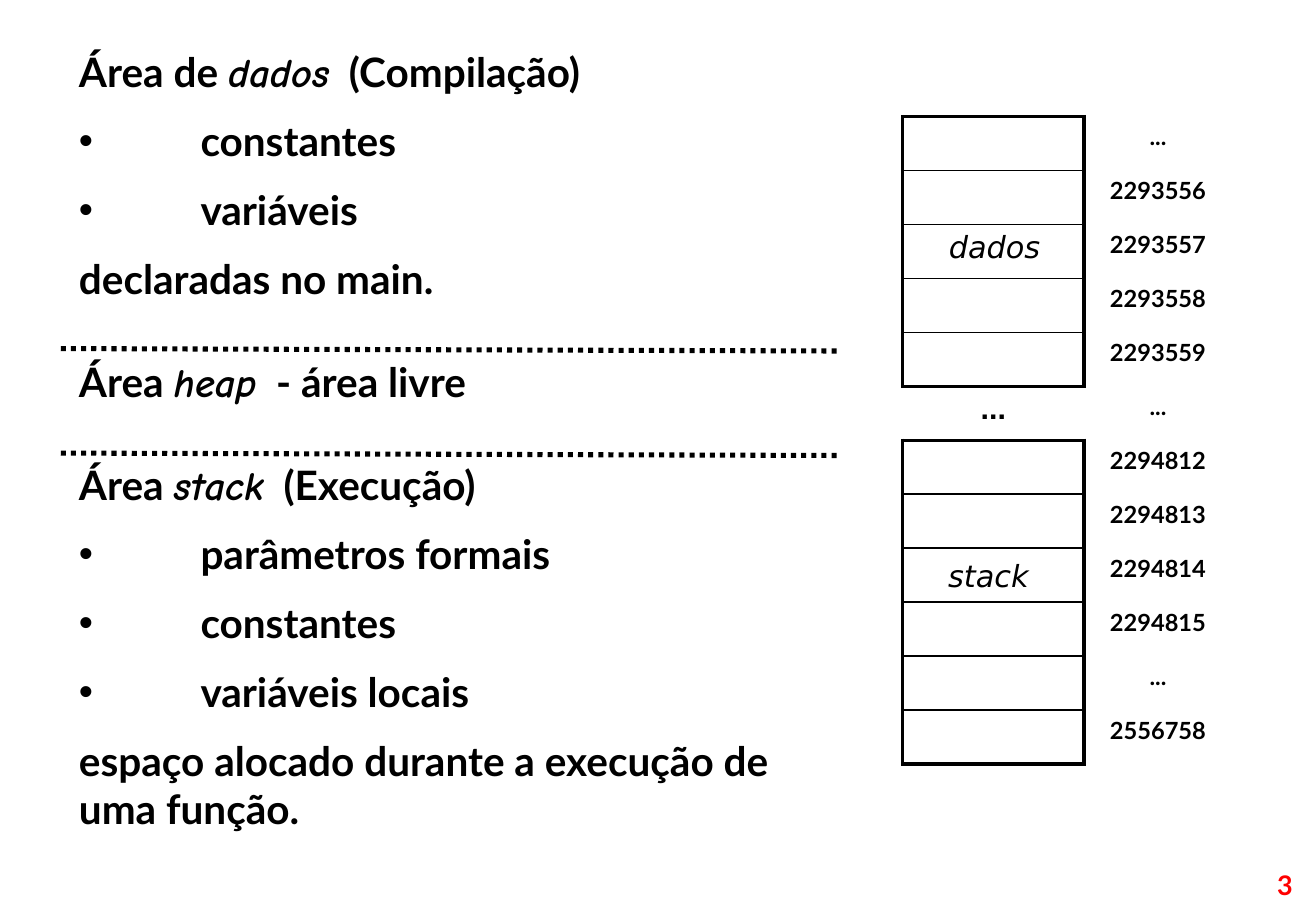
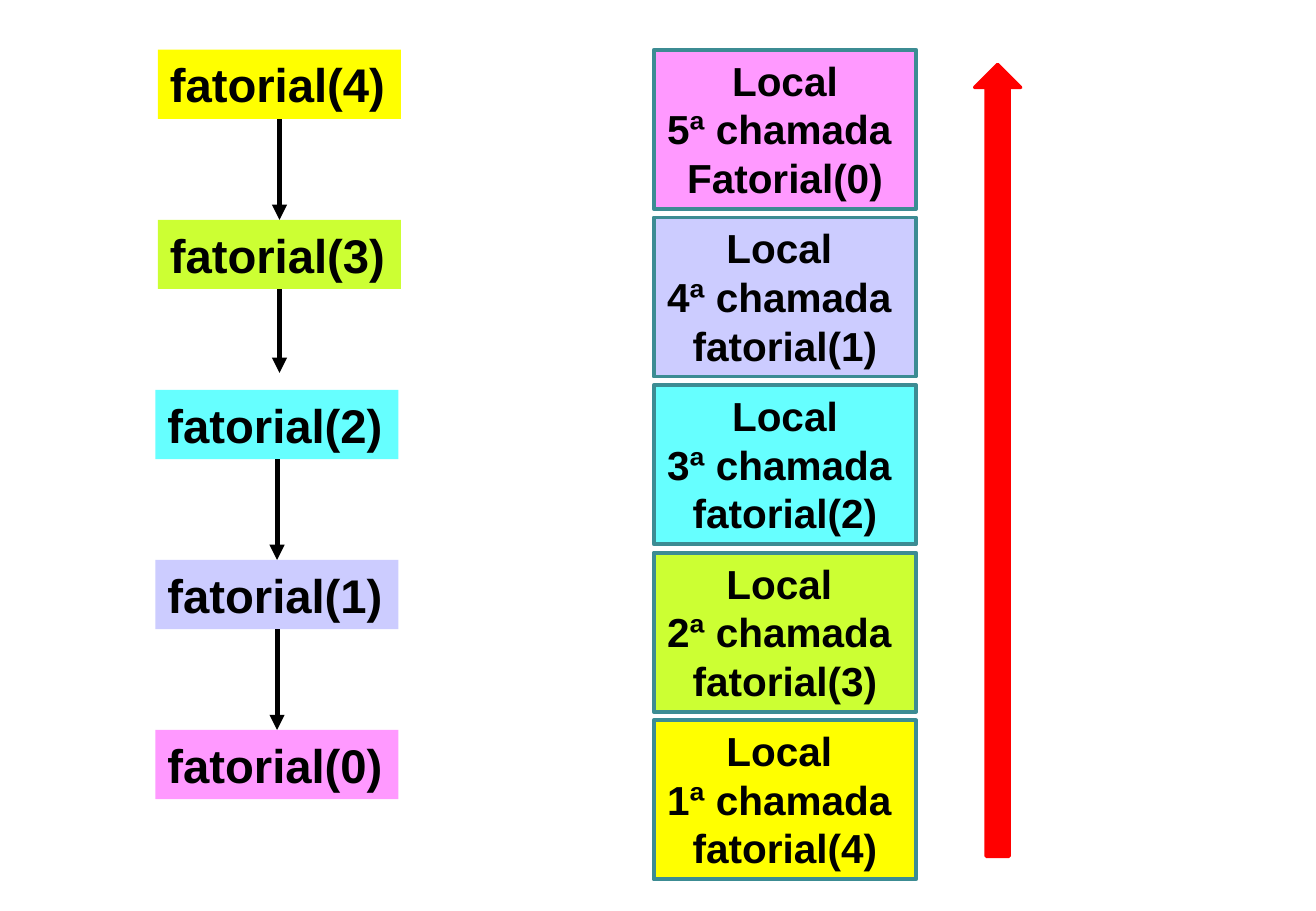
from pptx import Presentation
from pptx.dml.color import RGBColor
from pptx.enum.dml import MSO_LINE
from pptx.enum.shapes import MSO_CONNECTOR, MSO_SHAPE
from pptx.enum.text import MSO_ANCHOR, MSO_AUTO_SIZE, PP_ALIGN
from pptx.oxml.ns import qn
from pptx.util import Inches, Pt
from lxml.etree import SubElement

BLACK = RGBColor(0, 0, 0)
RED = RGBColor(0xFF, 0, 0)
TEAL = RGBColor(0x3C, 0x8C, 0x93)
# Colour of each call, by its argument
CALL_COLOURS = {
    4: RGBColor(0xFF, 0xFF, 0x00),
    3: RGBColor(0xCC, 0xFF, 0x33),
    2: RGBColor(0x66, 0xFF, 0xFF),
    1: RGBColor(0xCC, 0xCC, 0xFF),
    0: RGBColor(0xFF, 0x99, 0xFF),
}
SANS, TEXT, HAND, LABEL = "Arial", "Lato", "Comic Neue", "DejaVu Sans"
NO_TABLE_STYLE = "{2D5ABB26-0587-4C30-8999-92F81FD0307C}"
THICK, THIN = 2.25, 1


# Shared helpers
def add_run(para, text, size, font=TEXT, colour=BLACK, bold=True, italic=False):
    span = para.add_run()
    span.text = text
    span.font.size = Pt(size)
    span.font.name = font
    span.font.color.rgb = colour
    span.font.bold = bold
    span.font.italic = italic


def add_line(page, start, end, dash=None, arrow=False):
    ends = [Inches(value) for value in (*start, *end)]
    line = page.shapes.add_connector(MSO_CONNECTOR.STRAIGHT, *ends)
    line.line.color.rgb = BLACK
    line.line.width = Pt(3)
    if dash:
        line.line.dash_style = dash
    if arrow:
        SubElement(line.line._get_or_add_ln(), qn("a:tailEnd"), type="triangle")
    SubElement(line._element.spPr, qn("a:effectLst"))


def add_label(page, left, top, width, height, text, size, **style):
    box = page.shapes.add_textbox(Inches(left), Inches(top), Inches(width), Inches(height))
    frame = box.text_frame
    frame.word_wrap = False
    frame.margin_left = frame.margin_right = 0
    para = frame.paragraphs[0]
    para.alignment = PP_ALIGN.CENTER
    add_run(para, text, size, **style)


def add_block(page, kind, left, top, width, height, fill, line=None, line_width=2):
    block = page.shapes.add_shape(kind, Inches(left), Inches(top), Inches(width), Inches(height))
    block.shadow.inherit = False
    block.fill.solid()
    block.fill.fore_color.rgb = fill
    if line is None:
        block.line.fill.background()
    else:
        block.line.color.rgb = line
        block.line.width = Pt(line_width)
    return block


def fill_block(block, lines, size, alignment):
    frame = block.text_frame
    frame.word_wrap = False
    frame.vertical_anchor = MSO_ANCHOR.TOP
    for index, text in enumerate(lines):
        para = frame.add_paragraph() if index else frame.paragraphs[0]
        para.alignment = alignment
        add_run(para, text, size, font=SANS)


# Memory areas: headings, bullets and closing sentences
AREA_LINES = [
    ("area", ("Área de ", "dados", "  (Compilação)")),
    ("bullet", ("constantes",)),
    ("bullet", ("variáveis",)),
    ("plain", ("declaradas no main.",)),
    ("area", ("Área ", "heap", "  - área livre")),
    ("area", ("Área ", "stack", "  (Execução)")),
    ("bullet", ("parâmetros formais",)),
    ("bullet", ("constantes",)),
    ("bullet", ("variáveis locais",)),
    ("plain", ("espaço alocado durante a execução de uma função.",)),
]


def areas_text(page, left, top, width, height):
    body = page.placeholders[1]
    body.left, body.top = Inches(left), Inches(top)
    body.width, body.height = Inches(width), Inches(height)
    frame = body.text_frame
    frame.auto_size = MSO_AUTO_SIZE.NONE
    frame.word_wrap = True
    frame.vertical_anchor = MSO_ANCHOR.TOP
    for index, (kind, parts) in enumerate(AREA_LINES):
        para = frame.add_paragraph() if index else frame.paragraphs[0]
        gap = 32.4 if kind == "area" else 12
        para.space_before = Pt(gap if index else 0)
        indent = Inches(1) if kind == "bullet" else 0
        layout = para._p.get_or_add_pPr()
        layout.set("marL", str(indent))
        layout.set("indent", str(-indent))
        if kind == "bullet":
            SubElement(layout, qn("a:buChar"), char="•")
        else:
            SubElement(layout, qn("a:buNone"))
        for position, text in enumerate(parts):
            name = position == 1
            add_run(para, text, 24, font=HAND if name else TEXT, italic=name)
    # Dotted separators around the heap
    for offset in (2.53, 3.39):
        add_line(page, (left - 0.05, top + offset),
                 (left + width + 0.02, top + offset + 0.02), dash=MSO_LINE.ROUND_DOT)


# Memory map: cells on the left, addresses on the right
ADDRESSES = ["...", "2293556", "2293557", "2293558", "2293559", "...",
             "2294812", "2294813", "2294814", "2294815", "...", "2556758"]
GAP_ROW = 5


def set_border(cell, side, width):
    edge = SubElement(cell._tc.get_or_add_tcPr(), qn("a:ln" + side), w=str(Pt(width)))
    colour = SubElement(edge, qn("a:solidFill"))
    SubElement(colour, qn("a:srgbClr"), val=str(BLACK))


def memory_map(page, left, top, width, height):
    rows = len(ADDRESSES)
    frame = page.shapes.add_table(rows, 2, Inches(left), Inches(top), Inches(width), Inches(height))
    table = frame.table
    table.first_row = table.horz_banding = False
    table._tbl.tblPr.find(qn("a:tableStyleId")).text = NO_TABLE_STYLE
    table.columns[0].width = Inches(1.49)
    table.columns[1].width = Inches(width - 1.49)
    block_starts, block_ends = (0, GAP_ROW, GAP_ROW + 1), (GAP_ROW - 1, GAP_ROW, rows - 1)
    for row, address in enumerate(ADDRESSES):
        table.rows[row].height = Inches(height / rows)
        memory, number = table.cell(row, 0), table.cell(row, 1)
        if row != GAP_ROW:
            set_border(memory, "L", THICK)
            set_border(memory, "R", THICK)
        set_border(memory, "T", THICK if row in block_starts else THIN)
        set_border(memory, "B", THICK if row in block_ends else THIN)
        for cell in (memory, number):
            cell.fill.background()
            cell.text_frame.paragraphs[0].alignment = PP_ALIGN.CENTER
        add_run(number.text_frame.paragraphs[0], address, 14)
    gap = table.cell(GAP_ROW, 0).text_frame.paragraphs[0]
    add_run(gap, "...", 18, font=SANS)
    # Names of the two blocks
    for offset, name_width, name in ((0.87, 0.81, "dados"), (3.58, 0.71, "stack")):
        add_label(page, left + 0.35, top + offset, name_width, 0.68, name, 18,
                  font=LABEL, bold=False, italic=True)


def memory_slide(deck):
    page = deck.slides.add_slide(deck.slide_layouts[1])
    title = page.shapes.title._element
    title.getparent().remove(title)
    memory_map(page, 7.43, 0.96, 2.71, 5.33)
    areas_text(page, 0.55, 0.34, 6.32, 6.97)
    add_label(page, 10.32, 7.1, 0.51, 0.37, "3", 16, colour=RED)


# Chain of recursive calls
def call_chain(page, left, top, width, height):
    step, calls = 1.4, list(CALL_COLOURS)
    for index, argument in enumerate(calls):
        box_left = left if index < 2 else left - 0.02
        box_top = top + index * step
        block = add_block(page, MSO_SHAPE.RECTANGLE, box_left, box_top, width, height,
                          CALL_COLOURS[argument])
        fill_block(block, [f"fatorial({argument})"], 28, PP_ALIGN.LEFT)
        if argument:
            centre = box_left + width / 2
            shortfall = 0.14 if argument == 3 else 0
            add_line(page, (centre, box_top + height),
                     (centre, box_top + step - shortfall), arrow=True)


# Stack of local frames, the last call on top
def call_stack(page, left, top, width, height):
    step = 1.38
    for argument in sorted(CALL_COLOURS):
        block = add_block(page, MSO_SHAPE.RECTANGLE, left, top + argument * step, width, height,
                          CALL_COLOURS[argument], TEAL, THICK)
        local = "Local" if argument in (0, 2) else "Local "
        function = "fatorial" if argument else "Fatorial"
        lines = [local, f"{5 - argument}ª chamada ", f"{function}({argument})"]
        fill_block(block, lines, 24, PP_ALIGN.CENTER)


def recursion_slide(deck):
    page = deck.slides.add_slide(deck.slide_layouts[6])
    call_chain(page, 1.3, 0.41, 2, 0.57)
    call_stack(page, 5.38, 0.41, 2.16, 1.31)
    # Direction of stack growth
    add_block(page, MSO_SHAPE.UP_ARROW, 8.02, 0.53, 0.38, 6.52, RED, RED)


deck = Presentation()
deck.slide_width, deck.slide_height = Inches(10.83), Inches(7.5)
memory_slide(deck)
recursion_slide(deck)
deck.save("out.pptx")
